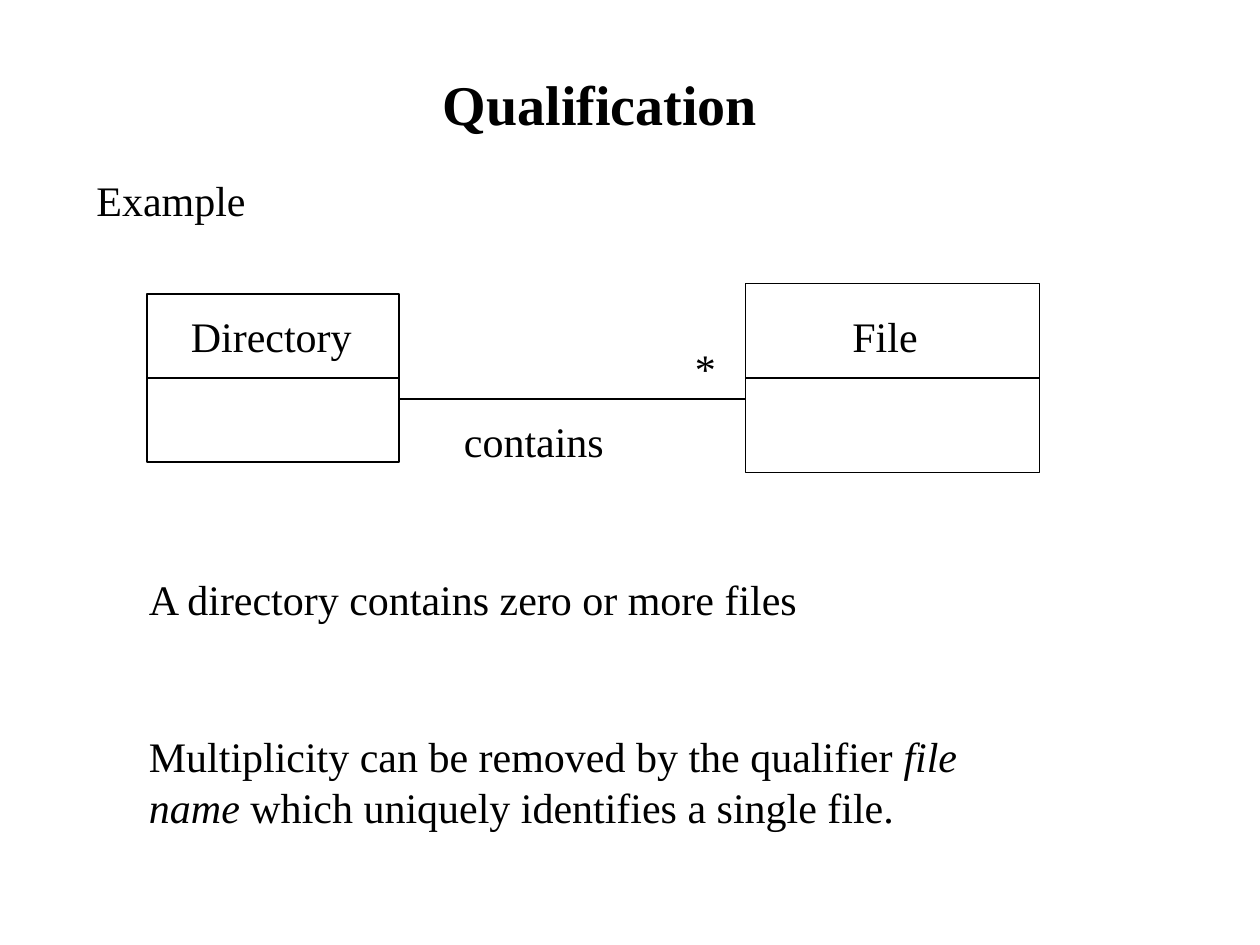
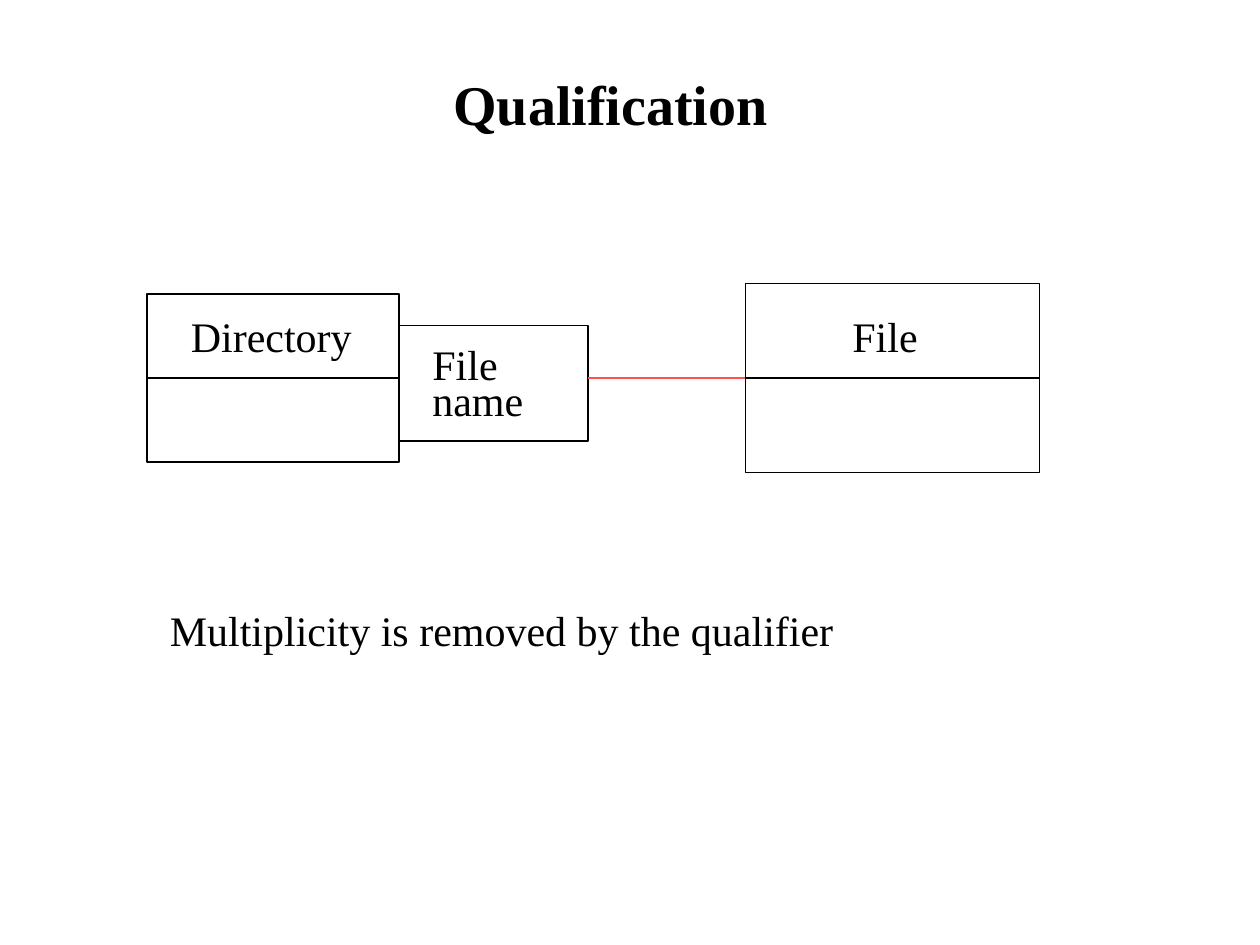
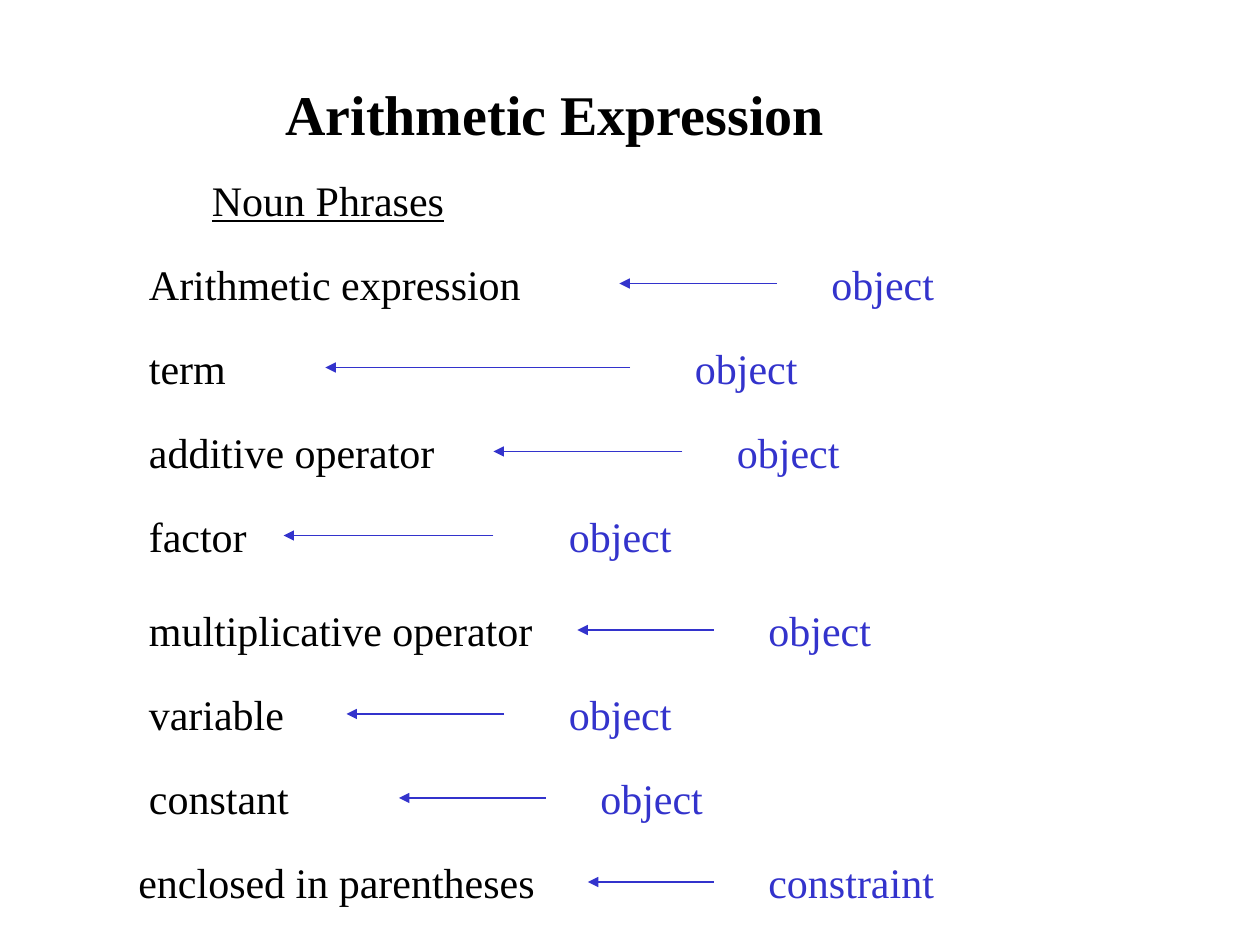
from lxml.etree import SubElement
from pptx import Presentation
from pptx.dml.color import RGBColor
from pptx.enum.shapes import MSO_CONNECTOR, MSO_SHAPE
from pptx.enum.text import MSO_AUTO_SIZE
from pptx.oxml.ns import qn
from pptx.util import Inches, Pt

COLORS = {"ink": "000000", "paper": "FFFFFF", "role": "3333CC", "link": "FF5050"}
FONT = "Times New Roman"
LINE_WIDTH = Pt(0.75)
TITLE = {"size": 32, "bold": True, "rows": 7.68}

deck = Presentation()
deck.slide_width, deck.slide_height = Inches(10), Inches(7.5)
cell = deck.slide_width // 120  # grid of 120 columns by 90 rows


def add_text(page, text, left, top, width, rows=6, size=24, color="ink",
             bold=None, underline=None, spacing=None):
    """Place text on the grid; in a list of spans, every second one is italic."""
    box = page.shapes.add_textbox(*(int(n * cell) for n in (left, top, width, rows)))
    frame = box.text_frame
    frame.word_wrap = True
    frame.auto_size = MSO_AUTO_SIZE.SHAPE_TO_FIT_TEXT
    para = frame.paragraphs[0]
    para.line_spacing = spacing
    for index, words in enumerate([text] if isinstance(text, str) else text):
        span = para.add_run()
        span.text = words
        span.font.name, span.font.size = FONT, Pt(size)
        span.font.bold, span.font.underline = bold, underline
        span.font.italic = index % 2 == 1
        span.font.color.rgb = RGBColor.from_string(COLORS[color])


def add_line(page, start, end, row, color="ink", arrow=False):
    """Draw a level line from column start to column end."""
    line = page.shapes.add_connector(
        MSO_CONNECTOR.STRAIGHT, *(n * cell for n in (start, row, end, row)))
    line.line.width = LINE_WIDTH
    line.line.color.rgb = RGBColor.from_string(COLORS[color])
    properties = line._element.spPr
    if arrow:
        SubElement(properties.find(qn("a:ln")), qn("a:tailEnd"), type="triangle")
    SubElement(properties, qn("a:effectLst"))
    return line


example, qualified, nouns = (deck.slides.add_slide(deck.slide_layouts[6]) for _ in range(3))

# Titles: page, text, left, top, width
for page, title, left, top, width in [
    (example, "Qualification", 41, 6, 43),
    (qualified, "Qualification", 42, 6, 33),
    (nouns, "Arithmetic Expression", 26, 7, 77),
]:
    add_text(page, title, left, top, width, **TITLE)

# Class boxes: page, rectangle, name, name's left, top, width, spacing and rows
directory, file, qualifier = (14, 28, 24, 16), (71, 27, 28, 18), (38, 31, 18, 11)
blocks = {}
for page, area, name, left, top, width, spacing, rows in [
    (example, directory, "Directory", 17, 29, 19, None, 6),
    (example, file, "File", 80, 29, 14, None, 6),
    (qualified, directory, "Directory", 17, 29, 19, None, 6),
    (qualified, file, "File", 80, 29, 14, None, 6),
    (qualified, qualifier, "File name", 40, 33, 12, 0.7, 7.92),
]:
    block = page.shapes.add_shape(MSO_SHAPE.RECTANGLE, *(n * cell for n in area))
    block.shadow.inherit = False
    block.fill.solid()
    block.fill.fore_color.rgb = RGBColor.from_string(COLORS["paper"])
    block.line.width = LINE_WIDTH
    block.line.color.rgb = RGBColor.from_string(COLORS["ink"])
    blocks[page.slide_id, name] = block
    if area != qualifier:
        divider = add_line(page, area[0], area[0] + area[2], 36)
        divider.begin_connect(block, 1)
        divider.end_connect(block, 3)
    add_text(page, name, left, top, width, rows=rows, spacing=spacing)

# Associations
add_line(example, 38, 71, 38)
link = add_line(qualified, 56, 71, 36, color="link")
link.end_connect(blocks[qualified.slide_id, "File"], 1)

# Labels and remarks
add_text(example, "Example", 8, 16, 21)
add_text(example, "contains", 43, 39, 16)
add_text(example, "*", 65, 32, 5)
add_text(example, "A directory contains zero or more files", 13, 54, 89)
add_text(example, ["Multiplicity can be removed by the qualifier ", "file name ",
                   "which uniquely identifies a single file."], 13, 69, 81, rows=10.8)
add_text(qualified, "Multiplicity is removed by the qualifier", 15, 57, 92)

# Noun phrases: top, phrase, left, width, arrow tip and tail, role, left, width
add_text(nouns, "Noun Phrases", 19, 16, 30, underline=True)
for top, phrase, left, width, tip, tail, role, role_left, role_width in [
    (24, "Arithmetic expression", 13, 44, 59, 74, "object", 78, 28),
    (32, "term", 13, 26, 31, 60, "object", 65, 27),
    (40, "additive operator", 13, 38, 47, 65, "object", 69, 20),
    (48, "factor", 13, 20, 27, 47, "object", 53, 16),
    (57, "multiplicative operator", 13, 41, 55, 68, "object", 72, 34.2),
    (65, "variable", 13, 37, 33, 48, "object", 53, 21),
    (73, "constant", 13, 28, 38, 52, "object", 56, 30),
    (81, "enclosed in parentheses", 12, 43, 56, 68, "constraint", 72, 36),
]:
    add_text(nouns, phrase, left, top, width)
    add_line(nouns, tail, tip, top + 3, color="role", arrow=True)
    add_text(nouns, role, role_left, top, role_width, color="role")

deck.save("out.pptx")
